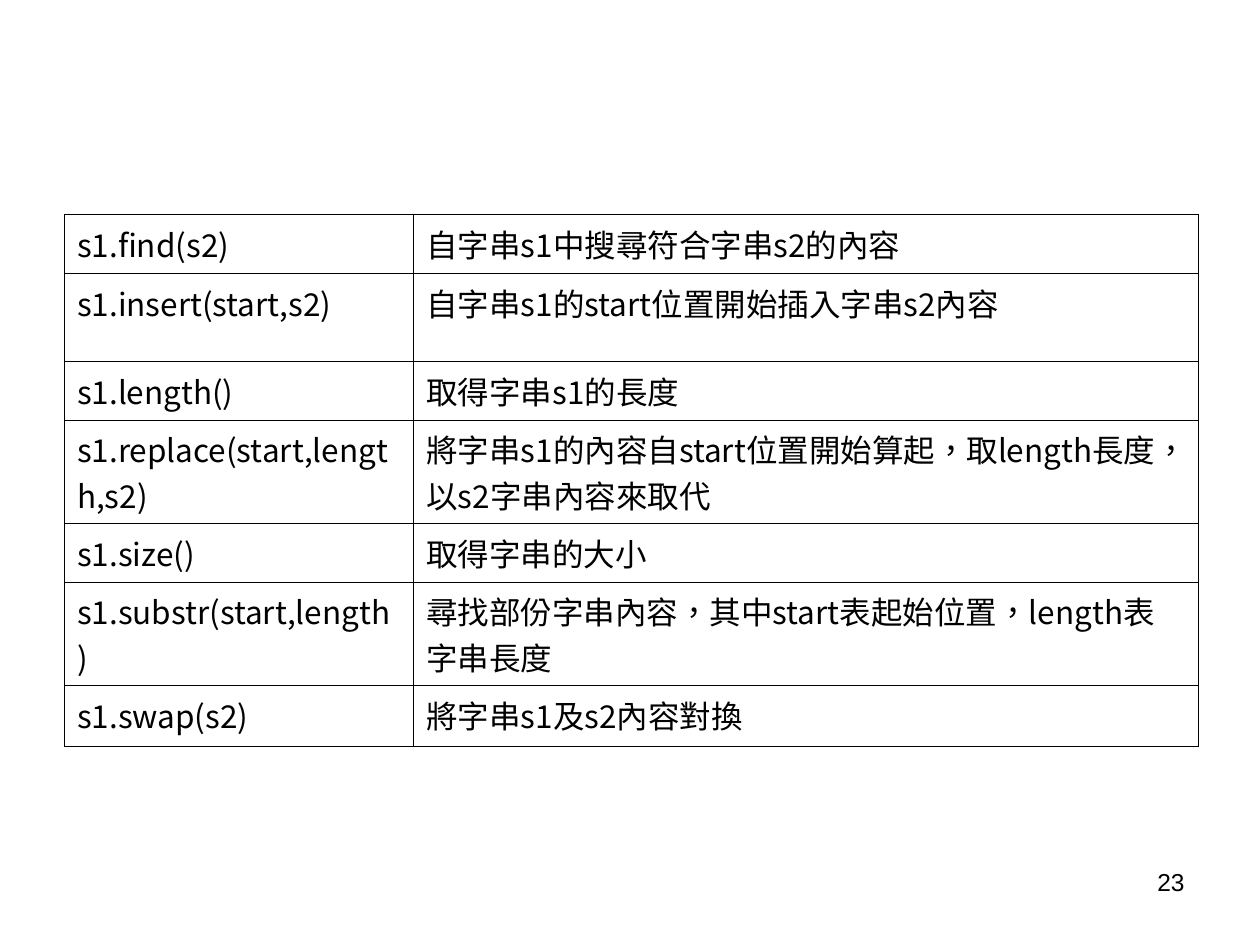
from lxml import etree
from pptx import Presentation
from pptx.dml.color import RGBColor
from pptx.enum.lang import MSO_LANGUAGE_ID
from pptx.enum.text import MSO_ANCHOR, PP_ALIGN
from pptx.oxml.ns import qn
from pptx.util import Cm, Pt

LEFT, RIGHT = PP_ALIGN.LEFT, PP_ALIGN.RIGHT
TOP = MSO_ANCHOR.TOP
CHINESE = MSO_LANGUAGE_ID.TRADITIONAL_CHINESE
BLANK_LAYOUT = 6
BLACK = "000000"
TABLE_FONT = "Noto Sans CJK SC"
BORDER_WIDTH = Pt(0.45)

COLUMN_WIDTHS = (7.04, 15.82)
# Row height in cm, method, description
METHODS = (
    (1.19, "s1.find(s2)", "自字串s1中搜尋符合字串s2的內容"),
    (1.78, "s1.insert(start,s2)", "自字串s1的start位置開始插入字串s2內容"),
    (1.17, "s1.length()", "取得字串s1的長度"),
    (1.9, "s1.replace(start,length,s2)",
     "將字串s1的內容自start位置開始算起，取length長度，以s2字串內容來取代"),
    (1.07, "s1.size()", "取得字串的大小"),
    (1.78, "s1.substr(start,length)",
     "尋找部份字串內容，其中start表起始位置，length表字串長度"),
    (1.22, "s1.swap(s2)", "將字串s1及s2內容對換"),
)


def color(value):
    return RGBColor.from_string(value)


def write_text(text_frame, text, *, size, font, align=LEFT, language=None):
    text_frame.word_wrap = True
    paragraph = text_frame.paragraphs[0]
    paragraph.alignment = align
    run = paragraph.add_run()
    run.text = text
    run.font.size = Pt(size)
    run.font.color.rgb = color(BLACK)
    run.font.name = font
    if language is not None:
        run.font.language_id = language
    # Chinese characters take their font from a:ea
    etree.SubElement(run.font._element, qn("a:ea"), typeface=font)


def draw_borders(cell):
    properties = cell._tc.get_or_add_tcPr()
    for side in ("a:lnL", "a:lnR", "a:lnT", "a:lnB"):
        line = etree.SubElement(properties, qn(side), w=str(BORDER_WIDTH))
        fill = etree.SubElement(line, qn("a:solidFill"))
        etree.SubElement(fill, qn("a:srgbClr"), val=BLACK)


def format_cell(cell, text):
    draw_borders(cell)
    cell.fill.background()
    cell.vertical_anchor = TOP
    write_text(cell.text_frame, text, size=18, font=TABLE_FONT, language=CHINESE)


def add_method_table(slide):
    height = sum(method[0] for method in METHODS)
    frame = slide.shapes.add_table(
        len(METHODS), len(COLUMN_WIDTHS),
        Cm(1.3), Cm(4.32), Cm(sum(COLUMN_WIDTHS)), Cm(height))
    table = frame.table
    table.first_row = False
    table.horz_banding = False
    for column, width in zip(table.columns, COLUMN_WIDTHS):
        column.width = Cm(width)
    for row, (row_height, *texts) in zip(table.rows, METHODS):
        row.height = Cm(row_height)
        for cell, text in zip(row.cells, texts):
            format_cell(cell, text)


def add_page_number(slide, number):
    box = slide.shapes.add_textbox(Cm(18.2), Cm(17.35), Cm(5.93), Cm(1.32))
    write_text(box.text_frame, number, size=14, font="Arial", align=RIGHT)


def main():
    presentation = Presentation()
    presentation.slide_width = Cm(25.4)
    presentation.slide_height = Cm(19.05)
    slide = presentation.slides.add_slide(presentation.slide_layouts[BLANK_LAYOUT])
    add_method_table(slide)
    add_page_number(slide, "23")
    presentation.save("out.pptx")


if __name__ == "__main__":
    main()
